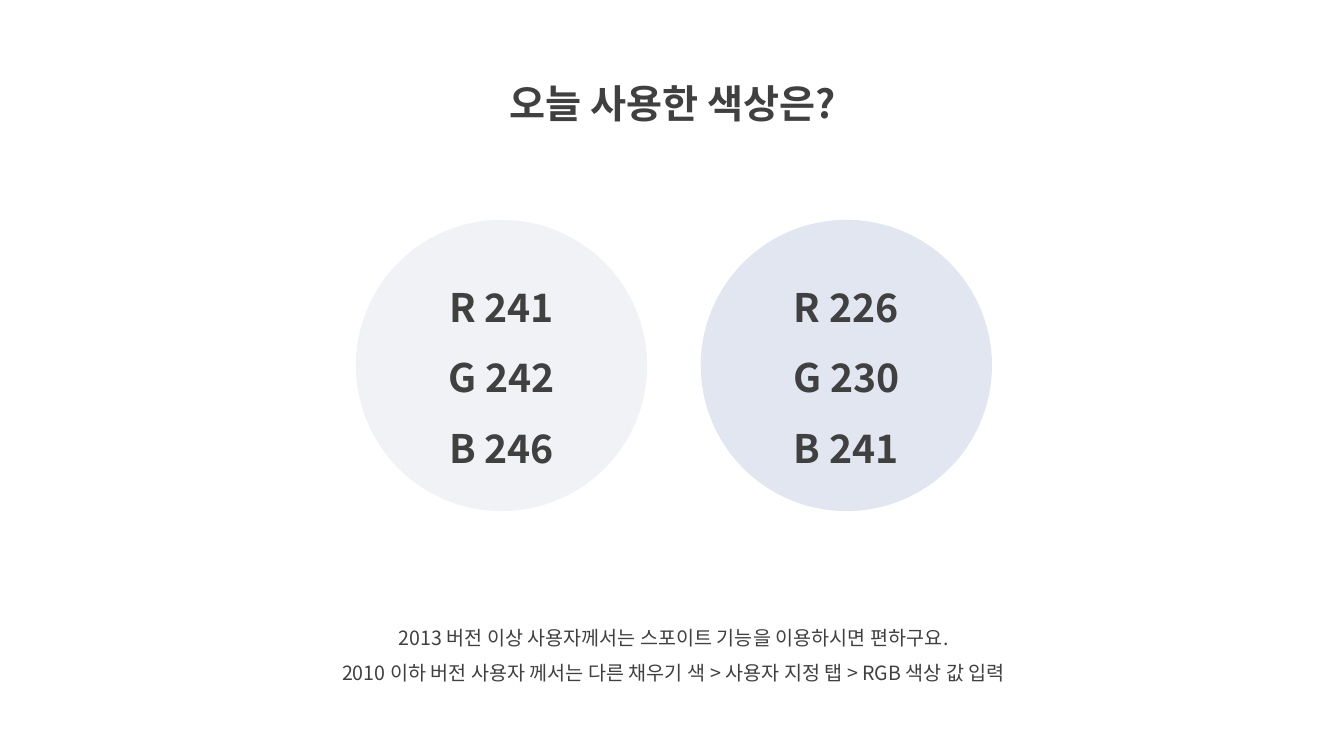
from lxml import etree
from pptx import Presentation
from pptx.dml.color import RGBColor
from pptx.enum.shapes import MSO_SHAPE
from pptx.enum.text import MSO_ANCHOR, MSO_AUTO_SIZE, PP_ALIGN
from pptx.oxml.ns import qn
from pptx.util import Cm, Pt

CENTER = PP_ALIGN.CENTER
MIDDLE = MSO_ANCHOR.MIDDLE
GROW = MSO_AUTO_SIZE.SHAPE_TO_FIT_TEXT
OVAL = MSO_SHAPE.OVAL

FONT = "Noto Sans CJK KR"
TEXT_COLOR = "404040"
CIRCLE_SIZE = 7.34
CIRCLE_LEFT = 8.97
CIRCLE_STEP = 8.69
CIRCLE_TOP = 5.54


def color(hex_value):
    return RGBColor.from_string(hex_value)


def write_lines(frame, lines, size, bold):
    """Fill a text frame with centred lines, in one font for Latin and Korean."""
    frame.word_wrap = True
    frame.text = "\n".join(lines)
    for paragraph in frame.paragraphs:
        paragraph.alignment = CENTER
        paragraph.line_spacing = 1.5
        for run in paragraph.runs:
            run.font.name = FONT
            run.font.size = Pt(size)
            run.font.bold = bold
            run.font.color.rgb = color(TEXT_COLOR)
            east_asian = etree.SubElement(run.font._element, qn("a:ea"))
            east_asian.set("typeface", FONT)


prs = Presentation()
prs.slide_width = Cm(33.87)
prs.slide_height = Cm(19.05)
slide = prs.slides.add_slide(prs.slide_layouts[6])

title = slide.shapes.add_textbox(Cm(11.07), Cm(1.27), Cm(11.76), Cm(1.83))
write_lines(title.text_frame, ["오늘 사용한 색상은?"], 28, True)
title.text_frame.auto_size = GROW

guide = slide.shapes.add_textbox(Cm(6.83), Cm(15.34), Cm(20.29), Cm(2.06))
guide_lines = [
    "2013 버전 이상 사용자께서는 스포이트 기능을 이용하시면 편하구요.",
    "2010 이하 버전 사용자 께서는 다른 채우기 색 > 사용자 지정 탭 > RGB 색상 값 입력",
]
write_lines(guide.text_frame, guide_lines, 14, False)
guide.text_frame.auto_size = GROW

for index, swatch in enumerate(["F1F2F6", "E2E6F1"]):
    left = CIRCLE_LEFT + index * CIRCLE_STEP
    circle = slide.shapes.add_shape(
        OVAL, Cm(left), Cm(CIRCLE_TOP), Cm(CIRCLE_SIZE), Cm(CIRCLE_SIZE))
    circle.shadow.inherit = False
    circle.fill.solid()
    circle.fill.fore_color.rgb = color(swatch)
    circle.line.fill.background()
    circle.text_frame.vertical_anchor = MIDDLE
    channels = [f"{name} {value}" for name, value in zip("RGB", color(swatch))]
    write_lines(circle.text_frame, channels, 28, True)

prs.save("out.pptx")
